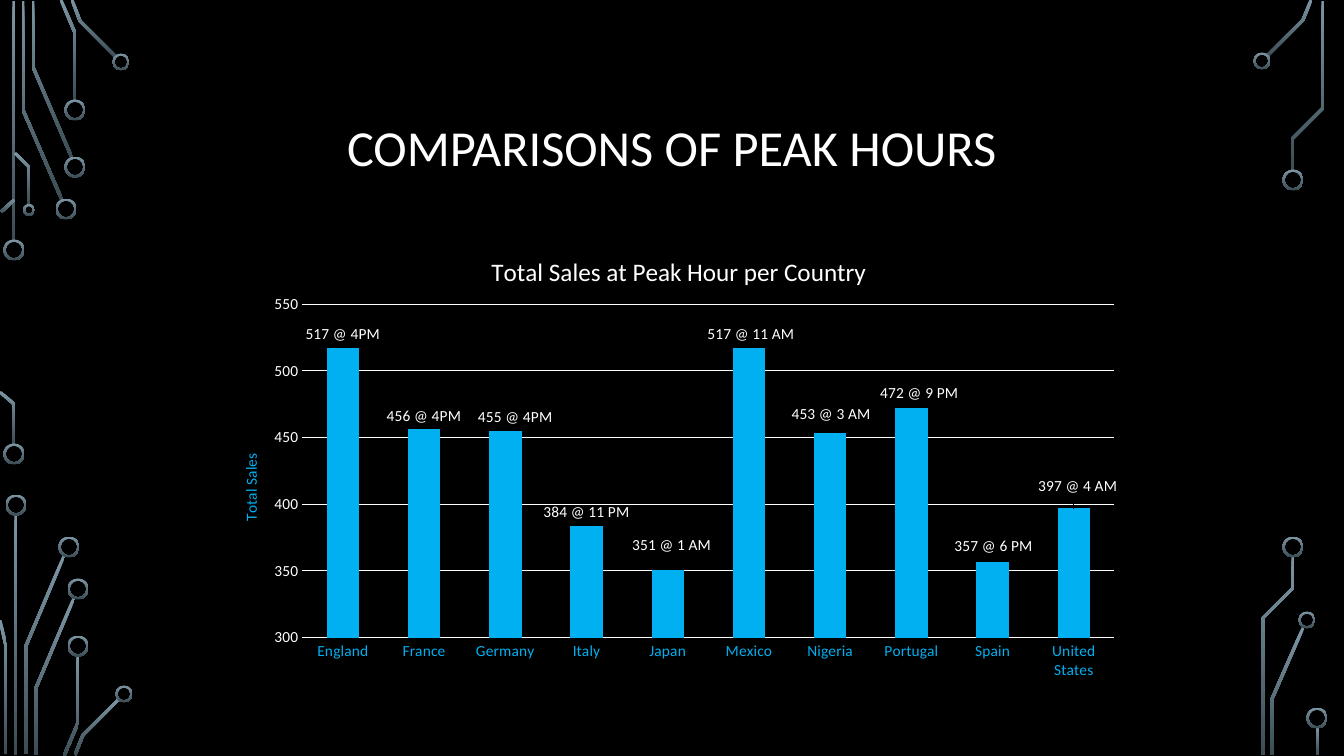
from dataclasses import dataclass
from math import hypot

from lxml.etree import SubElement
from pptx import Presentation
from pptx.chart.data import CategoryChartData
from pptx.dml.color import RGBColor
from pptx.enum.chart import XL_CHART_TYPE, XL_LABEL_POSITION, XL_TICK_MARK
from pptx.enum.shapes import MSO_SHAPE
from pptx.enum.text import MSO_ANCHOR, PP_ALIGN
from pptx.oxml import parse_xml
from pptx.oxml.ns import nsdecls, qn
from pptx.util import Pt

PX = 12192000 / 1344
FONT = "Calibri"
COLORS = {"back": "000000", "text": "FFFFFF", "bar": "00B0F0",
          "trace_top": "7C96A3", "trace_bottom": "3B4C54"}
TRACE_WIDTH = 3
RING_WIDTH = 2

SALES = [
    ("England", 517, "517 @ 4PM", 0, 0),
    ("France", 456, "456 @ 4PM", 0, 0),
    ("Germany", 455, "455 @ 4PM", 10, 0),
    ("Italy", 384, "384 @ 11 PM", 0, 0),
    ("Japan", 351, "351 @ 1 AM", 4, -11),
    ("Mexico", 517, "517 @ 11 AM", 2, 0),
    ("Nigeria", 453, "453 @ 3 AM", 1, -6),
    ("Portugal", 472, "472 @ 9 PM", 8, -1),
    ("Spain", 357, "357 @ 6 PM", 1, -2),
    ("United States", 397, "397 @ 4 AM", 4, -9),
]


@dataclass
class Box:
    left: int
    top: int
    width: int
    height: int

    def emu(self):
        return [round(side * PX) for side in (self.left, self.top, self.width, self.height)]


CIRCUITS = [
    (Box(0, 0, 140, 470),
     [[(14, 1), (14, 242)], [(23, 1), (23, 110), (62, 200)], [(33, 1), (33, 67), (72, 158)],
      [(61, 0), (75, 33), (75, 101)], [(72, 0), (80, 21), (116, 57)], [(1, 212), (14, 200)],
      [(0, 392), (14, 404), (14, 444)], [(15, 153), (29, 167), (29, 205)]],
     [(14, 250, 21), (14, 454, 21), (66, 209, 21), (75, 167, 21), (75, 110, 21),
      (121, 62, 17), (29, 210, 12)]),
    (Box(0, 490, 140, 266),
     [[(16, 24), (16, 265)], [(26, 264), (26, 156), (64, 66)], [(0, 130), (6, 156), (6, 264)],
      [(36, 265), (36, 198), (74, 108)], [(64, 266), (78, 233), (78, 165)],
      [(75, 265), (83, 245), (119, 209)]],
     [(16, 15, 21), (69, 57, 21), (78, 99, 21), (78, 156, 21), (124, 204, 17)]),
    (Box(1244, 0, 100, 200),
     [[(23, 56), (59, 20), (67, 0)], [(48, 170), (48, 139), (79, 108), (79, 1)]],
     [(18, 61, 17), (49, 180, 21)]),
    (Box(1244, 530, 100, 226),
     [[(28, 225), (28, 169), (59, 98)], [(19, 225), (19, 88), (49, 58), (49, 26)],
      [(74, 197), (74, 225)]],
     [(63, 90, 17), (49, 17, 21), (73, 188, 21)]),
]


def color(name):
    return RGBColor.from_string(COLORS[name])


def set_font(font, size, name):
    font.name = FONT
    font.size = Pt(size)
    font.bold = False
    font.color.rgb = color(name)


def add_run(para, text, size, name):
    span = para.add_run()
    span.text = text
    set_font(span.font, size, name)


def paint_trace(shape):
    shape.shadow.inherit = False
    shape.line.fill.background()
    shape.fill.gradient()
    shape.fill.gradient_angle = 270
    for stop, name, position in zip(shape.fill.gradient_stops, ("trace_top", "trace_bottom"), (0, 1)):
        stop.color.rgb = color(name)
        stop.position = position


def trace_outline(points):
    normals = []
    for (x1, y1), (x2, y2) in zip(points, points[1:]):
        length = hypot(x2 - x1, y2 - y1)
        normals.append(((y1 - y2) / length, (x2 - x1) / length))
    near, far = [], []
    for (x, y), (ax, ay), (bx, by) in zip(points, normals[:1] + normals, normals + normals[-1:]):
        reach = TRACE_WIDTH / 2 / (1 + ax * bx + ay * by)
        dx, dy = (ax + bx) * reach, (ay + by) * reach
        near.append((x + dx, y + dy))
        far.append((x - dx, y - dy))
    return near + far[::-1]


def add_circuit(page, box, traces, rings):
    for points in traces:
        outline = [(round((box.left + x) * PX), round((box.top + y) * PX))
                   for x, y in trace_outline(points)]
        builder = page.shapes.build_freeform(*outline[0])
        builder.add_line_segments(outline[1:], close=True)
        paint_trace(builder.convert_to_shape())
    for x, y, size in rings:
        place = Box(box.left + x - size / 2, box.top + y - size / 2, size, size)
        ring = page.shapes.add_shape(MSO_SHAPE.DONUT, *place.emu())
        ring.adjustments[0] = RING_WIDTH / size
        paint_trace(ring)


def add_title(page, box):
    title = page.shapes.title
    title.left, title.top, title.width, title.height = box.emu()
    title.text_frame.vertical_anchor = MSO_ANCHOR.MIDDLE
    title.text_frame.word_wrap = True
    para = title.text_frame.paragraphs[0]
    para.alignment = PP_ALIGN.CENTER
    para.line_spacing = 0.9
    add_run(para, "COMPARISONS OF PEAK HOURS", 36, "text")


def set_layout(parent, index, **values):
    for old in parent.findall(qn("c:layout")):
        parent.remove(old)
    layout = parse_xml(f"<c:layout {nsdecls('c')}><c:manualLayout/></c:layout>")
    for tag, value in values.items():
        SubElement(layout[0], qn(f"c:{tag}")).set("val", str(value))
    parent.insert(index, layout)


def format_axis(axis, name):
    axis.major_tick_mark = axis.minor_tick_mark = XL_TICK_MARK.NONE
    axis.format.line.fill.background()
    set_font(axis.tick_labels.font, 11, name)


def add_sales_chart(page, box):
    data = CategoryChartData()
    data.categories = [row[0] for row in SALES]
    data.add_series("Series 1", [row[1] for row in SALES])
    chart = page.shapes.add_chart(XL_CHART_TYPE.COLUMN_CLUSTERED, *box.emu(), data).chart
    set_font(chart.font, 10, "text")
    chart.has_legend = False
    chart.has_title = True
    add_run(chart.chart_title.text_frame.paragraphs[0],
            "Total Sales at Peak Hour per Country", 18, "text")

    format_axis(chart.category_axis, "bar")
    values = chart.value_axis
    format_axis(values, "text")
    values.minimum_scale, values.maximum_scale, values.major_unit = 300, 550, 50
    values.major_gridlines.format.line.color.rgb = color("text")
    values.major_gridlines.format.line.width = Pt(0.75)
    values.has_title = True
    add_run(values.axis_title.text_frame.paragraphs[0], "Total Sales", 11, "bar")

    plot = chart.plots[0]
    plot.gap_width = 150
    plot.vary_by_categories = False
    series = plot.series[0]
    series.format.fill.solid()
    series.format.fill.fore_color.rgb = color("bar")
    series.data_labels.show_value = True
    set_font(series.data_labels.font, 11, "text")
    for index, row in enumerate(SALES):
        label = series.points[index].data_label
        add_run(label.text_frame.paragraphs[0], row[2], 11, "text")
        label.position = XL_LABEL_POSITION.OUTSIDE_END

    root = chart.element
    for label, row in zip(root.xpath(".//c:dLbl"), SALES):
        if row[3] or row[4]:
            set_layout(label, 1, x=row[3] / box.width, y=row[4] / box.height)
    axis_title = root.xpath(".//c:valAx/c:title")[0]
    turned = axis_title.xpath(".//a:bodyPr")[0]
    turned.set("rot", "-5400000")
    turned.set("vert", "horz")
    set_layout(axis_title, 1, xMode="edge", yMode="edge", x=0.03, y=0.48)
    set_layout(root.xpath("./c:chart/c:title")[0], 1, xMode="edge", yMode="edge", x=0.3, y=0.04)
    set_layout(root.xpath(".//c:plotArea")[0], 0, layoutTarget="inner", xMode="edge",
               yMode="edge", x=0.1, y=0.16, w=0.88, h=0.73)


def main():
    deck = Presentation()
    deck.slide_width, deck.slide_height = Box(0, 0, 1344, 756).emu()[2:]
    page = deck.slides.add_slide(deck.slide_layouts[5])
    page.background.fill.solid()
    page.background.fill.fore_color.rgb = color("back")
    for box, traces, rings in CIRCUITS:
        add_circuit(page, box, traces, rings)
    add_title(page, Box(126, 69, 1092, 163))
    add_sales_chart(page, Box(210, 231, 923, 457))
    deck.save("out.pptx")


if __name__ == "__main__":
    main()
